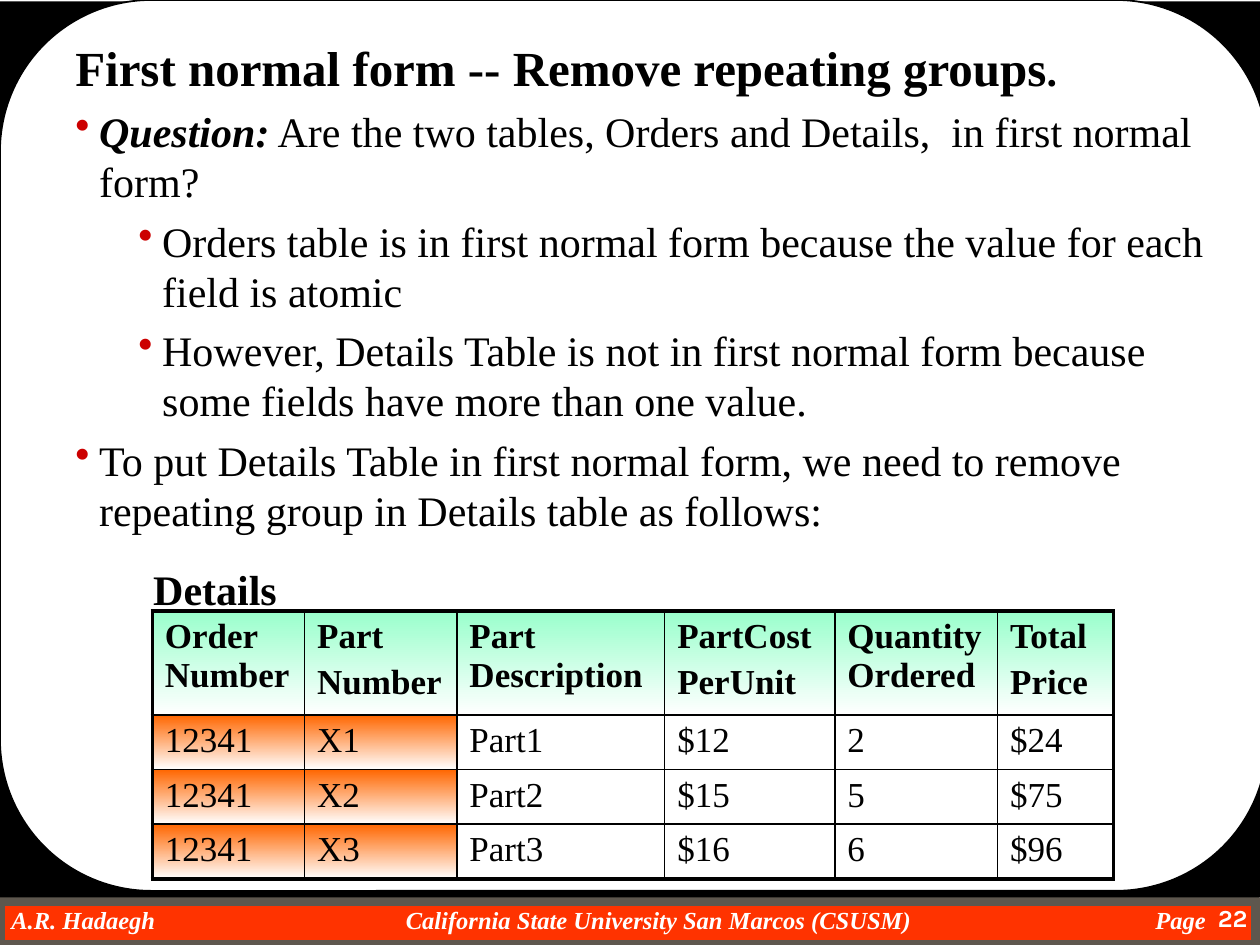
from dataclasses import dataclass
from lxml import etree
from pptx import Presentation
from pptx import util as u
from pptx.dml.color import RGBColor
from pptx.enum import shapes, text
from pptx.oxml.ns import qn

BLACK = RGBColor(0, 0, 0)
WHITE = RGBColor(255, 255, 255)
RED = RGBColor(0xFF, 0x33, 0x00)
GREY = RGBColor(0x5E, 0x57, 0x4E)
MINT = RGBColor(0x99, 0xFF, 0xCC)
AMBER = RGBColor(0xFF, 0x66, 0x00)
DOT = RGBColor(0xCC, 0, 0)
SERIF = "Times New Roman"


@dataclass
class Style:
    size: float
    color: RGBColor = BLACK
    bold: bool = False
    slant: bool = False
    face: str = SERIF


@dataclass
class Area:
    left: float
    top: float
    width: float
    height: float

    def lengths(self) -> tuple:
        return tuple(u.Cm(n) for n in (self.left, self.top, self.width, self.height))


@dataclass
class Point:
    chunks: list
    indent: float = 0.48
    dot: bool = True


PLAIN = Style(24)
POINTS = [
    Point([("First normal form -- Remove repeating groups", Style(28, bold=True)),
           (".", Style(24, bold=True))], dot=False),
    Point([("Question:", Style(24, bold=True, slant=True)),
           (" Are the two tables, Orders and Details,  in first normal form?", PLAIN)]),
    Point([("Orders table is in first normal form because the value for each "
            "field is atomic", PLAIN)], 1.75),
    Point([("However, Details Table is not in first normal form because some "
            "fields have more than one value.", PLAIN)], 1.75),
    Point([("To put Details Table in first normal form, we need to remove "
            "repeating group in Details table as follows:", PLAIN)]),
]
WIDTHS = [3.07, 3.07, 4.19, 3.43, 3.28, 2.34]
HEIGHTS = [2.08, 1.1, 1.1, 1.1]
ROWS = [
    ["Order Number", "Part\nNumber", "Part\nDescription", "PartCost\nPerUnit",
     "Quantity\nOrdered", "Total\nPrice"],
    ["12341", "X1", "Part1", "$12", "2", "$24"],
    ["12341", "X2", "Part2", "$15", "5", "$75"],
    ["12341", "X3", "Part3", "$16", "6", "$96"],
]
SPACED = (1, 3, 5)


def format_run(run, style: Style) -> None:
    font = run.font
    font.size, font.name = u.Pt(style.size), style.face
    font.bold, font.italic = style.bold, style.slant
    font.color.rgb = style.color


def add_panel(slide, kind, area: Area, fill: RGBColor, line=None, weight: float = 1):
    panel = slide.shapes.add_shape(kind, *area.lengths())
    panel.shadow.inherit = False
    panel.fill.solid()
    panel.fill.fore_color.rgb = fill
    if line is None:
        panel.line.fill.background()
    else:
        panel.line.color.rgb = line
        panel.line.width = u.Pt(weight)
    return panel


def add_label(slide, area: Area, words: str, style: Style, wrap: bool = True):
    frame = slide.shapes.add_textbox(*area.lengths()).text_frame
    frame.word_wrap = wrap
    frame.text = words
    for run in frame.paragraphs[0].runs:
        format_run(run, style)
    return frame


def add_tabs(para, stops: list) -> None:
    tabs = etree.SubElement(para._p.get_or_add_pPr(), qn("a:tabLst"))
    for place, align in stops:
        etree.SubElement(tabs, qn("a:tab"), pos=str(u.Cm(place)), algn=align)


def add_dot(para, indent: float) -> None:
    props = para._p.get_or_add_pPr()
    props.set("marL", str(u.Cm(indent)))
    props.set("indent", str(-u.Cm(0.48)))
    tint = etree.SubElement(props, qn("a:buClr"))
    etree.SubElement(tint, qn("a:srgbClr"), val=str(DOT))
    etree.SubElement(props, qn("a:buChar"), char="•")


def add_points(slide, area: Area, points: list) -> None:
    frame = slide.shapes.add_textbox(*area.lengths()).text_frame
    frame.word_wrap = True
    for rank, point in enumerate(points):
        para = frame.add_paragraph() if rank else frame.paragraphs[0]
        if rank:
            para.space_before = u.Pt(5)
        if point.dot:
            add_dot(para, point.indent)
        for words, style in point.chunks:
            run = para.add_run()
            run.text = words
            format_run(run, style)


def set_edges(cell, thick: dict) -> None:
    props = cell._tc.get_or_add_tcPr()
    for side, heavy in thick.items():
        edge = etree.SubElement(props, qn("a:ln" + side),
                                w=str(u.Pt(2.25 if heavy else 1)))
        fill = etree.SubElement(edge, qn("a:solidFill"))
        etree.SubElement(fill, qn("a:srgbClr"), val=str(BLACK))


def set_fade(cell, color: RGBColor) -> None:
    cell.fill.gradient()
    cell.fill.gradient_angle = 270
    for stop, tint, place in zip(cell.fill.gradient_stops, (color, WHITE), (0, 1)):
        stop.color.rgb = tint
        stop.position = place


def add_grid(slide, area: Area) -> None:
    grid = slide.shapes.add_table(len(ROWS), len(WIDTHS), *area.lengths()).table
    grid.first_row = grid.horz_banding = False
    for col, width in zip(grid.columns, WIDTHS):
        col.width = u.Cm(width)
    for row, height in zip(grid.rows, HEIGHTS):
        row.height = u.Cm(height)
    for r, row in enumerate(ROWS):
        for c, words in enumerate(row):
            cell = grid.cell(r, c)
            cell.text_frame.text = words
            for rank, para in enumerate(cell.text_frame.paragraphs):
                if rank and c in SPACED:
                    para.space_before = u.Pt(4)
                format_run(para.runs[0], Style(20, bold=r == 0))
            set_edges(cell, {"L": c == 0, "R": c == len(WIDTHS) - 1,
                             "T": r == 0, "B": r == len(ROWS) - 1})
            if r == 0:
                set_fade(cell, MINT)
            elif c < 2:
                set_fade(cell, AMBER)
            else:
                cell.fill.background()


def main() -> None:
    deck = Presentation()
    deck.slide_width, deck.slide_height = u.Cm(25.4), u.Cm(19.05)
    slide = deck.slides.add_slide(deck.slide_layouts[6])
    kinds = shapes.MSO_SHAPE

    add_panel(slide, kinds.RECTANGLE, Area(0, 18.16, 25.32, 0.89), RED, GREY, 6)
    foot = add_label(slide, Area(0, 18.24, 24.59, 0.58),
                     "A.R. Hadaegh\tCalifornia State University San Marcos (CSUSM)\tPage",
                     Style(14, WHITE, True, True))
    foot.margin_left = u.Cm(0.23)
    foot.margin_right = foot.margin_top = foot.margin_bottom = 0
    add_tabs(foot.paragraphs[0], [(13.05, "ctr"), (24.08, "r")])

    add_panel(slide, kinds.RECTANGLE, Area(0, 0.03, 25.4, 18.06), BLACK)
    page = add_panel(slide, kinds.ROUNDED_RECTANGLE, Area(0, 0, 25.55, 17.96),
                     WHITE, BLACK)
    page.adjustments[0] = 0.17

    count = add_label(slide, Area(23.5, 18.08, 1.9, 0.97), "22",
                      Style(14, WHITE, True, face="Karla"))
    count.paragraphs[0].alignment = text.PP_ALIGN.RIGHT
    add_points(slide, Area(1.27, 0.64, 23.32, 10.36), POINTS)
    add_grid(slide, Area(3.07, 12.32, sum(WIDTHS), sum(HEIGHTS)))
    add_label(slide, Area(2.84, 11.23, 3, 1.27), "Details",
              Style(24, bold=True), wrap=False)
    deck.save("out.pptx")


if __name__ == "__main__":
    main()
